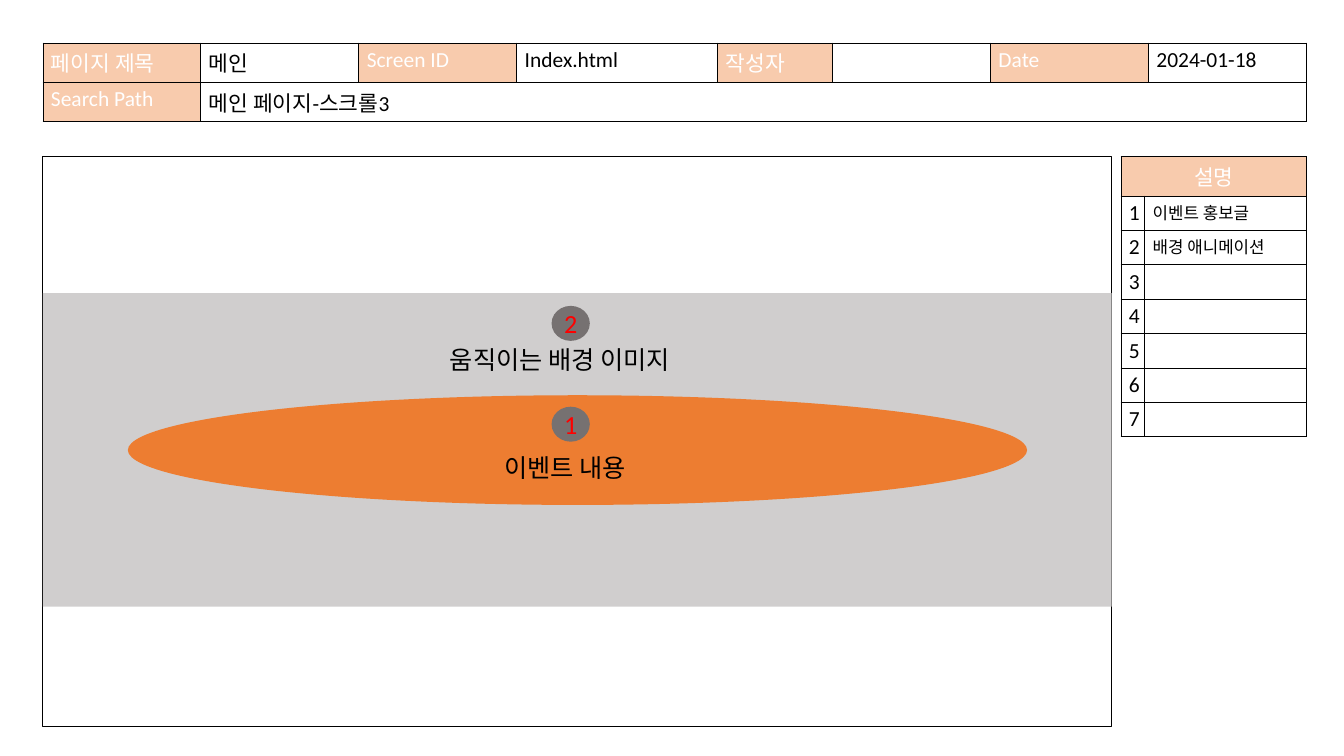
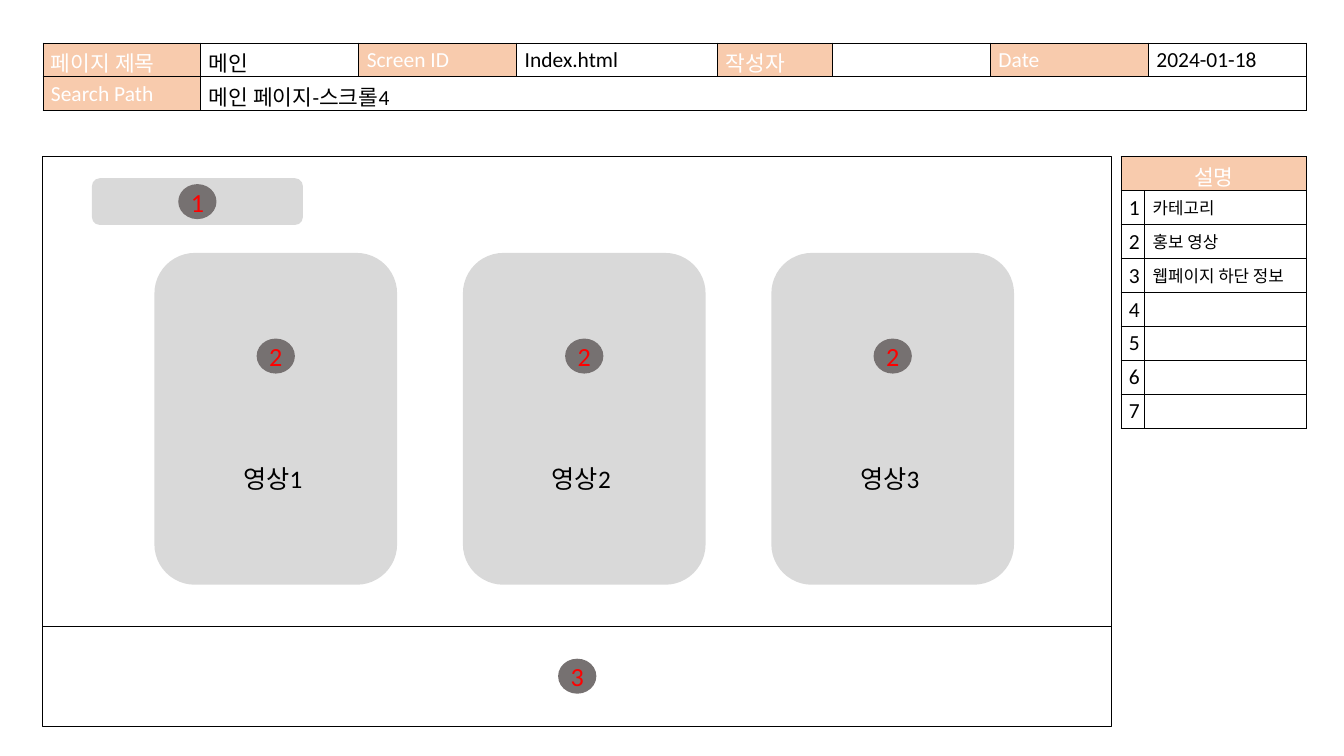
import pptx
import pptx.dml.color
import pptx.enum.shapes
import pptx.enum.text
import pptx.oxml
import pptx.oxml.ns
import pptx.util

Pt = pptx.util.Pt
RGBColor = pptx.dml.color.RGBColor
SHAPE = pptx.enum.shapes.MSO_SHAPE
ALIGN = pptx.enum.text.PP_ALIGN

# Colours
BLACK = RGBColor(0x00, 0x00, 0x00)
WHITE = RGBColor(0xFF, 0xFF, 0xFF)
PEACH = RGBColor(0xF8, 0xCB, 0xAD)
ORANGE = RGBColor(0xED, 0x7D, 0x31)
BACKDROP_GRAY = RGBColor(0xD0, 0xCE, 0xCE)
CARD_GRAY = RGBColor(0xD9, 0xD9, 0xD9)
BADGE_GRAY = RGBColor(0x76, 0x71, 0x71)
RED = RGBColor(0xFF, 0x00, 0x00)

# Shared layout, in points
FONT = "Calibri"
MARGIN = 46
FRAME_TOP, FRAME_WIDTH, FRAME_HEIGHT = 168, 1145, 610.5
LEGEND_LEFT = 1201
HEADER_COLUMNS = [169.2, 169.2, 169.2, 215.2, 123.2, 169.2, 169.2, 169.2]
LEGEND_COLUMNS = [25.4, 173.6]
LEGEND_ITEMS = 7
ROW_HEIGHT = 36.36
BADGE_WIDTH, BADGE_HEIGHT = 41, 37.5


class Wireframe:
    """Holds the style and the current slide."""

    def __init__(self):
        self.presentation = pptx.Presentation()
        self.presentation.slide_width = Pt(1440)
        self.presentation.slide_height = Pt(810)
        self.slide = None

    def new_page(self, search_path, notes):
        self.slide = self.presentation.slides.add_slide(self.presentation.slide_layouts[6])
        self.header(search_path)
        self.legend(notes)
        self.shape(SHAPE.RECTANGLE, MARGIN, FRAME_TOP, FRAME_WIDTH, FRAME_HEIGHT, line=BLACK)

    def format_text(self, text_frame, size, color, align=None):
        for paragraph in text_frame.paragraphs:
            paragraph.alignment = align
            for run in paragraph.runs:
                run.font.name = FONT
                run.font.size = Pt(size)
                run.font.color.rgb = color

    # Tables
    def table(self, left, top, column_widths, row_count):
        frame = self.slide.shapes.add_table(
            row_count, len(column_widths), Pt(left), Pt(top),
            Pt(sum(column_widths)), Pt(ROW_HEIGHT * row_count))
        table = frame.table
        table.first_row = False
        table.horz_banding = False
        for column, width in zip(table.columns, column_widths):
            column.width = Pt(width)
        for row in table.rows:
            row.height = Pt(ROW_HEIGHT)
        for cell in table.iter_cells():
            cell.margin_left = cell.margin_right = Pt(8.64)
            cell.margin_top = cell.margin_bottom = Pt(4.32)
            cell.fill.background()
            self.cell_borders(cell)
        return table

    def cell_borders(self, cell):
        properties = cell._tc.get_or_add_tcPr()
        for index, side in enumerate(("lnL", "lnR", "lnT", "lnB")):
            properties.insert(index, pptx.oxml.parse_xml(
                f'<a:{side} {pptx.oxml.ns.nsdecls("a")} w="{Pt(1)}"><a:solidFill>'
                f'<a:srgbClr val="{BLACK}"/></a:solidFill></a:{side}>'))

    def cell(self, cell, text, size=23, label=False, align=None):
        cell.text_frame.text = text
        self.format_text(cell.text_frame, size, WHITE if label else BLACK, align)
        if label:
            cell.fill.solid()
            cell.fill.fore_color.rgb = PEACH

    def header(self, search_path):
        table = self.table(MARGIN, MARGIN, HEADER_COLUMNS, 2)
        table.cell(1, 1).merge(table.cell(1, 7))
        rows = [
            ["페이지 제목", "메인", "Screen ID", "Index.html", "작성자", "", "Date", "2024-01-18"],
            ["Search Path", search_path],
        ]
        for row, texts in enumerate(rows):
            for column, text in enumerate(texts):
                self.cell(table.cell(row, column), text, label=column % 2 == 0)

    def legend(self, notes):
        table = self.table(LEGEND_LEFT, FRAME_TOP, LEGEND_COLUMNS, LEGEND_ITEMS + 1)
        table.cell(0, 0).merge(table.cell(0, 1))
        self.cell(table.cell(0, 0), "설명", label=True, align=ALIGN.CENTER)
        for number in range(1, LEGEND_ITEMS + 1):
            self.cell(table.cell(number, 0), str(number), align=ALIGN.CENTER)
        for number, note in enumerate(notes, 1):
            self.cell(table.cell(number, 1), note, size=18)

    # Shapes, lines and text
    def shape(self, kind, left, top, width, height, fill=None, line=None):
        shape = self.slide.shapes.add_shape(kind, Pt(left), Pt(top), Pt(width), Pt(height))
        shape.shadow.inherit = False
        if fill is None:
            shape.fill.background()
        else:
            shape.fill.solid()
            shape.fill.fore_color.rgb = fill
        if line is None:
            shape.line.fill.background()
        else:
            shape.line.color.rgb = line
            shape.line.width = Pt(1)
        return shape

    def badge(self, number, center_x, center_y):
        shape = self.shape(
            SHAPE.FLOWCHART_CONNECTOR, center_x - BADGE_WIDTH / 2, center_y - BADGE_HEIGHT / 2,
            BADGE_WIDTH, BADGE_HEIGHT, fill=BADGE_GRAY)
        shape.text_frame.text = str(number)
        shape.text_frame.vertical_anchor = pptx.enum.text.MSO_ANCHOR.MIDDLE
        self.format_text(shape.text_frame, 28, RED, ALIGN.CENTER)

    def caption(self, text, left, top, width):
        box = self.slide.shapes.add_textbox(Pt(left), Pt(top), Pt(width), Pt(40))
        box.text_frame.text = text
        box.text_frame.word_wrap = False
        box.text_frame.auto_size = pptx.enum.text.MSO_AUTO_SIZE.SHAPE_TO_FIT_TEXT
        self.format_text(box.text_frame, 27, BLACK)

    def divider(self, top):
        line = self.slide.shapes.add_connector(
            pptx.enum.shapes.MSO_CONNECTOR.STRAIGHT,
            Pt(MARGIN), Pt(top), Pt(MARGIN + FRAME_WIDTH), Pt(top))
        line.line.color.rgb = BLACK
        line.line.width = Pt(0.5)
        line._element.spPr.append(
            pptx.oxml.parse_xml(f'<a:effectLst {pptx.oxml.ns.nsdecls("a")}/>'))


def event_page(wireframe):
    wireframe.new_page("메인 페이지-스크롤3", ["이벤트 홍보글", "배경 애니메이션"])
    # Moving background with the event oval on it
    wireframe.shape(SHAPE.RECTANGLE, MARGIN, 314, FRAME_WIDTH, 336, fill=BACKDROP_GRAY)
    wireframe.shape(SHAPE.OVAL, 137, 423.5, 963.5, 117.5, fill=ORANGE)
    wireframe.badge(1, 611.5, 454.5)
    wireframe.badge(2, 611.5, 346.5)
    wireframe.caption("움직이는 배경 이미지", 475, 365, 272)
    wireframe.caption("이벤트 내용", 533, 481, 157)


def video_page(wireframe):
    wireframe.new_page("메인 페이지-스크롤4", ["카테고리", "홍보 영상", "웹페이지 하단 정보"])
    # Category bar
    bar_left, bar_top, bar_width, bar_height = 98.5, 191, 226, 50
    wireframe.shape(SHAPE.FLOWCHART_ALTERNATE_PROCESS,
                    bar_left, bar_top, bar_width, bar_height, fill=CARD_GRAY)
    wireframe.badge(1, bar_left + bar_width / 2, bar_top + bar_height / 2)
    # Video cards
    card_width, card_pitch = 260, 330.5
    for index in range(3):
        left = 165.5 + index * card_pitch
        wireframe.shape(SHAPE.FLOWCHART_ALTERNATE_PROCESS,
                        left, 271, card_width, 355.5, fill=CARD_GRAY)
        wireframe.badge(2, left + card_width / 2, 381.5)
        wireframe.caption(f"영상{index + 1}", left + 88, 493, 83)
    # Page footer area
    wireframe.divider(671)
    wireframe.badge(3, 618.5, 724.5)


def main():
    wireframe = Wireframe()
    event_page(wireframe)
    video_page(wireframe)
    wireframe.presentation.save("out.pptx")


if __name__ == "__main__":
    main()
